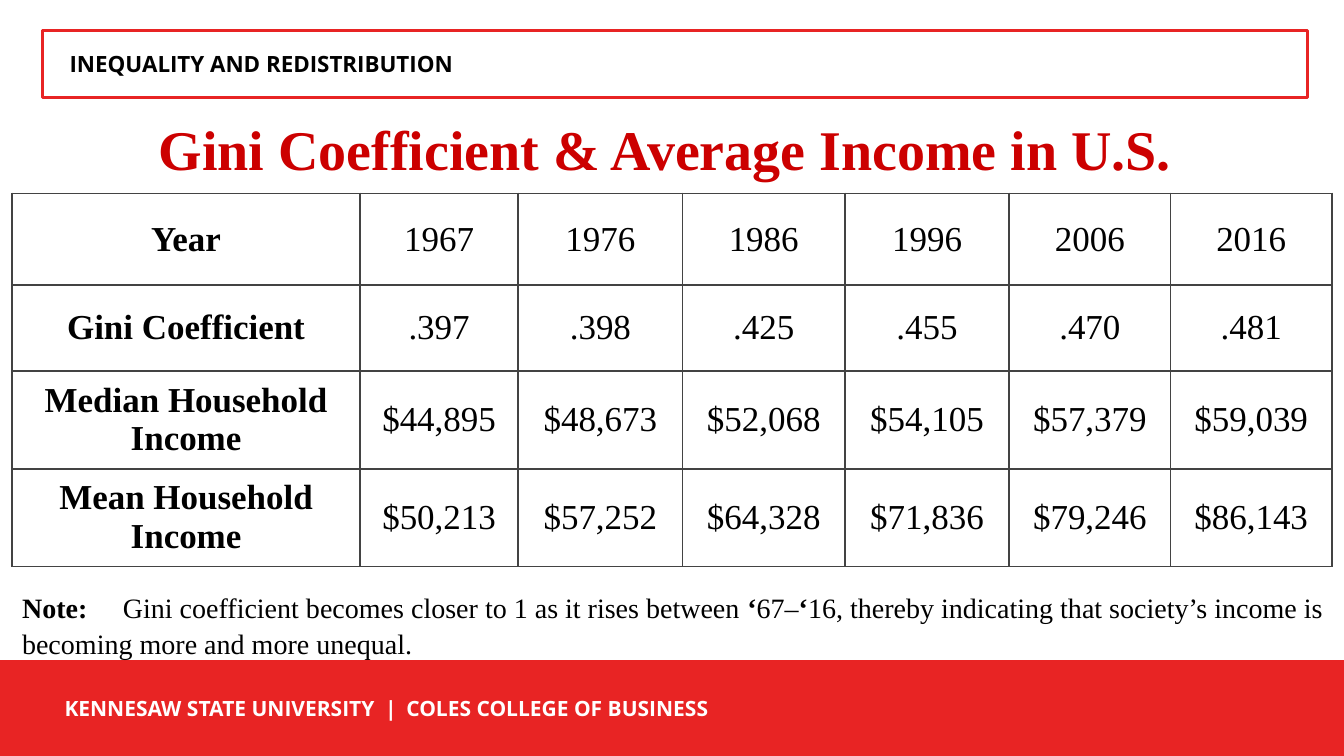
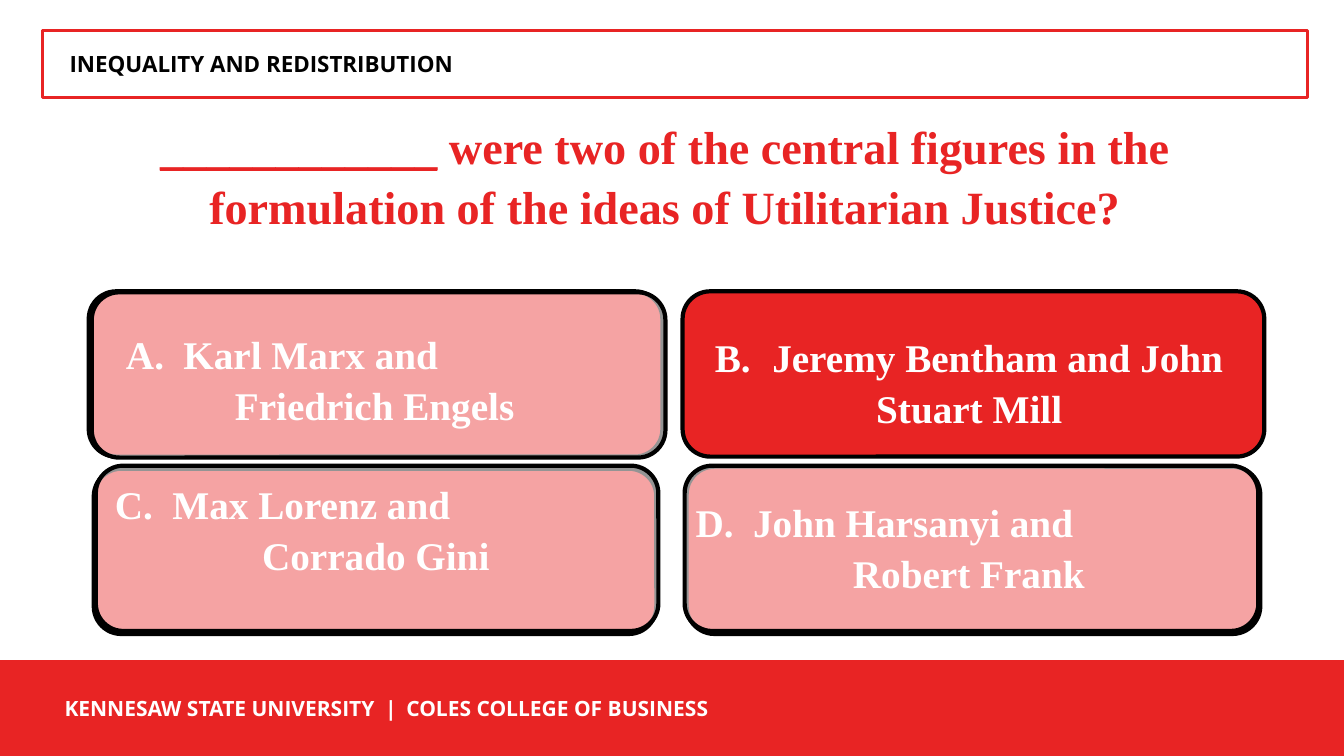
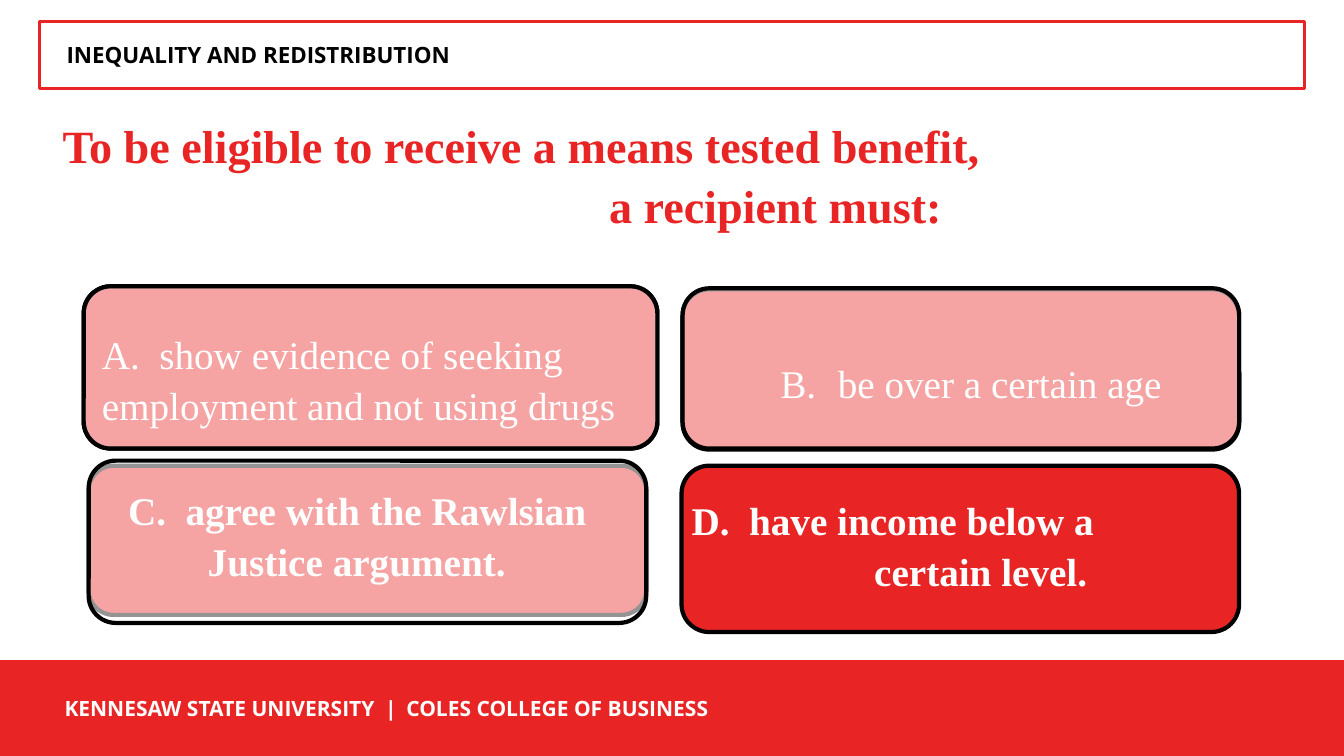
"""Build three slides on inequality and redistribution."""
from dataclasses import dataclass

from lxml.etree import SubElement
from pptx import Presentation
from pptx.dml.color import RGBColor
from pptx.enum.shapes import MSO_SHAPE as Shape
from pptx.enum.text import MSO_ANCHOR as Anchor, MSO_AUTO_SIZE as AutoSize, PP_ALIGN as Align
from pptx.oxml.ns import qn
from pptx.util import Inches, Pt


@dataclass(frozen=True)
class Theme:
    red: str = "E82424"
    title_red: str = "CC0000"
    black: str = "000000"
    white: str = "FFFFFF"
    grid: str = "434343"
    serif: str = "Times New Roman"
    sans: str = "Open Sans"
    title_size: int = 40
    question_size: int = 33
    answer_size: int = 28
    table_size: int = 25
    note_size: int = 20
    header_size: int = 16
    footer_size: int = 15
    spacing: float = 1.08
    veil_opacity: int = 58
    hang: float = 0.57


THEME = Theme()

HEADER = "INEQUALITY AND REDISTRIBUTION"
FOOTER = "KENNESAW STATE UNIVERSITY\t|\tCOLES COLLEGE OF BUSINESS"

INCOME_TITLE = "Gini Coefficient & Average Income in U.S."
INCOME_ROWS = [
    ("Year", "1967", "1976", "1986", "1996", "2006", "2016"),
    ("Gini Coefficient", ".397", ".398", ".425", ".455", ".470", ".481"),
    ("Median Household Income", "$44,895", "$48,673", "$52,068", "$54,105", "$57,379", "$59,039"),
    ("Mean Household Income", "$50,213", "$57,252", "$64,328", "$71,836", "$79,246", "$86,143"),
]
COLUMN_WIDTHS = [3.45, 1.57, 1.63, 1.61, 1.63, 1.6, 1.6]
ROW_HEIGHTS = [0.91, 0.85, 0.97, 0.97]
NOTE = [
    ("Note:", {"bold": True}),
    ("\tGini coefficient becomes closer to 1 as it rises between ", {}),
    ("‘", {"bold": True}),
    ("67–", {}),
    ("‘", {"bold": True}),
    ("16, thereby indicating that society’s income is becoming more and more unequal.", {}),
]

QUESTIONS = [
    {
        "header_at": (0.42, 0.3),
        "title_at": (0.42, 1.08, 12.35, 1.2),
        "title": [[("____________", {"underline": True}),
                   (" were two of the central figures in the formulation"
                    " of the ideas of Utilitarian Justice?", {})]],
        "title_format": {"align": Align.CENTER},
        "answers": [
            {"card": (0.88, 2.89, 5.69, 1.64), "veil": (0.91, 2.9, 5.69, 1.64),
             "text": (0.88, 3.28, 5.69, 0.93), "bold": True, "indents": (0.24, 1.32),
             "lines": ["A.\tKarl Marx and", "Friedrich Engels"]},
            {"card": (0.93, 4.65, 5.58, 1.64), "veil": (0.95, 4.62, 5.58, 1.64),
             "text": (0.88, 4.77, 5.69, 0.93), "bold": True, "indents": (0.13, 1.59),
             "lines": ["C.\tMax Lorenz and", "Corrado Gini"]},
            {"card": (6.81, 4.63, 5.69, 1.66), "veil": (6.79, 4.62, 5.69, 1.64),
             "text": (6.77, 4.95, 5.69, 0.93), "bold": True, "indents": (0, 1.56),
             "lines": ["D.\tJohn Harsanyi and", "Robert Frank"]},
            {"card": (6.77, 2.89, 5.77, 1.64), "veil": None,
             "text": (6.77, 3.31, 5.69, 0.93), "bold": True, "indents": (0.19, 1.79),
             "lines": ["B.\tJeremy Bentham and John", "Stuart Mill"]},
        ],
    },
    {
        "header_at": (0.39, 0.21),
        "title_at": (0.49, 1.07, 12.35, 1.2),
        "title": ["To be eligible to receive a means tested benefit,", "a recipient must:"],
        "title_format": {"indents": (0.03, 5.45)},
        "answers": [
            {"card": (0.83, 2.84, 5.69, 1.61), "veil": (0.83, 2.84, 5.69, 1.61),
             "text": (0.88, 3.28, 5.69, 0.93), "bold": False, "indents": (0, 0),
             "lines": ["A.\tshow evidence of seeking", "employment and not using drugs"]},
            {"card": (0.88, 4.62, 5.53, 1.48), "veil": (0.88, 4.57, 5.53, 1.61),
             "text": (0.84, 4.82, 5.41, 0.95), "bold": True, "indents": (0.3, 1.09),
             "lines": ["C.\tagree with the Rawlsian", "Justice argument."]},
            {"card": (6.76, 4.62, 5.53, 1.65), "veil": None,
             "text": (6.69, 4.93, 5.69, 0.93), "bold": True, "indents": (0.04, 1.85),
             "lines": ["D.\thave income below a", "certain level."]},
            {"card": (6.77, 2.87, 5.52, 1.59), "veil": (6.77, 2.86, 5.52, 1.59),
             "text": (7.26, 3.31, 4.69, 0.93), "bold": False, "indents": (0.35,),
             "lines": ["B.\tbe over a certain age"]},
        ],
    },
]


def inches(values):
    return [Inches(value) for value in values]


def write(frame, paragraphs, size, color, font=THEME.serif, bold=False, align=Align.LEFT,
          anchor=Anchor.MIDDLE, insets=(0.1, 0.05, 0.1, 0.05), spacing=1.0,
          indents=(), hang=0, tabs=()):
    """Fill a text frame with paragraphs given as strings or lists of spans."""
    frame.word_wrap = True
    frame.auto_size = AutoSize.NONE
    frame.vertical_anchor = anchor
    (frame.margin_left, frame.margin_top,
     frame.margin_right, frame.margin_bottom) = inches(insets)
    for index, content in enumerate(paragraphs):
        para = frame.paragraphs[0] if index == 0 else frame.add_paragraph()
        para.alignment = align
        para.line_spacing = spacing
        spans = [(content, {})] if isinstance(content, str) else content
        properties = para._p.get_or_add_pPr()
        if indents:
            hanging = hang if "\t" in spans[0][0] else 0
            properties.set("marL", str(Inches(indents[index] + hanging)))
            properties.set("indent", str(Inches(-hanging)))
        if tabs:
            stops = SubElement(properties, qn("a:tabLst"))
            for stop in tabs:
                SubElement(stops, qn("a:tab"), pos=str(Inches(stop)), algn="l")
        for text, changes in spans:
            span = para.add_run()
            span.text = text
            span.font.name = font
            span.font.size = Pt(size)
            span.font.color.rgb = RGBColor.from_string(color)
            span.font.bold = changes.get("bold", bold)
            span.font.underline = changes.get("underline", False)


def add_panel(page, kind, at, line, width, fill=None, opacity=None):
    panel = page.shapes.add_shape(kind, *inches(at))
    panel.shadow.inherit = False
    panel.line.color.rgb = RGBColor.from_string(line)
    panel.line.width = Pt(width)
    if fill is None:
        panel.fill.background()
    else:
        panel.fill.solid()
        panel.fill.fore_color.rgb = RGBColor.from_string(fill)
    if opacity is not None:
        color = panel.fill._xPr.find(qn("a:solidFill"))[0]
        SubElement(color, qn("a:alpha"), val=str(opacity * 1000))
    return panel


def add_page(deck, header_at, title_at, title, **title_format):
    page = deck.slides.add_slide(deck.slide_layouts[5])
    heading = page.shapes.title
    heading.left, heading.top, heading.width, heading.height = inches(title_at)
    write(heading.text_frame, title, bold=True, spacing=THEME.spacing, **title_format)
    header = add_panel(page, Shape.RECTANGLE, (*header_at, 12.55, 0.67), THEME.red, 2.25)
    write(header.text_frame, [HEADER], THEME.header_size, THEME.black, font=THEME.sans,
          bold=True, insets=(0.27, 0.05, 0.1, 0.05))
    footer = add_panel(page, Shape.RECTANGLE, (0, 6.55, 13.33, 0.95), THEME.red, 1, THEME.red)
    write(footer.text_frame, [FOOTER], THEME.footer_size, THEME.white, font=THEME.sans,
          bold=True, insets=(0.64, 0.05, 0.1, 0.05), tabs=(3.18, 3.39))
    return page


def add_borders(cell):
    properties = cell._tc.get_or_add_tcPr()
    for index, side in enumerate(("a:lnL", "a:lnR", "a:lnT", "a:lnB")):
        border = properties.makeelement(qn(side), {"w": str(Pt(1.5))})
        fill = SubElement(border, qn("a:solidFill"))
        SubElement(fill, qn("a:srgbClr"), val=THEME.grid)
        properties.insert(index, border)


def add_income_table(page):
    at = (0.12, 1.92, sum(COLUMN_WIDTHS), sum(ROW_HEIGHTS))
    table = page.shapes.add_table(len(INCOME_ROWS), len(COLUMN_WIDTHS), *inches(at)).table
    table.first_row = table.horz_banding = False
    for column, width in zip(table.columns, COLUMN_WIDTHS):
        column.width = Inches(width)
    for row, height, values in zip(table.rows, ROW_HEIGHTS, INCOME_ROWS):
        row.height = Inches(height)
        for index, (cell, value) in enumerate(zip(row.cells, values)):
            cell.fill.background()
            add_borders(cell)
            write(cell.text_frame, [value], THEME.table_size, THEME.black,
                  bold=index == 0, align=Align.CENTER)
            cell.vertical_anchor = Anchor.MIDDLE
            (cell.margin_left, cell.margin_top,
             cell.margin_right, cell.margin_bottom) = inches([0.1] * 4)


def add_income_page(deck):
    page = add_page(deck, (0.42, 0.3), (0.32, 0.97, 12.55, 0.95), [INCOME_TITLE],
                    size=THEME.title_size, color=THEME.title_red, align=Align.CENTER)
    add_income_table(page)
    note = page.shapes.add_textbox(*inches((0.12, 5.78, 13.21, 0.77)))
    write(note.text_frame, [NOTE], THEME.note_size, THEME.black, anchor=Anchor.TOP,
          spacing=THEME.spacing, tabs=(1.0,))


def add_question_page(deck, question):
    page = add_page(deck, question["header_at"], question["title_at"], question["title"],
                    size=THEME.question_size, color=THEME.red, anchor=Anchor.TOP,
                    **question["title_format"])
    answers = question["answers"]
    for answer in answers:
        add_panel(page, Shape.ROUNDED_RECTANGLE, answer["card"], THEME.black, 3, THEME.red)
    for answer in answers:
        box = page.shapes.add_textbox(*inches(answer["text"]))
        write(box.text_frame, answer["lines"], THEME.answer_size, THEME.white,
              bold=answer["bold"], insets=[0.13] * 4, spacing=THEME.spacing,
              indents=answer["indents"], hang=THEME.hang)
    for answer in answers:
        if answer["veil"]:
            add_panel(page, Shape.ROUNDED_RECTANGLE, answer["veil"], THEME.black, 3,
                      THEME.white, THEME.veil_opacity)


def main():
    deck = Presentation()
    deck.slide_width, deck.slide_height = inches((13.33, 7.5))
    add_income_page(deck)
    for question in QUESTIONS:
        add_question_page(deck, question)
    deck.save("out.pptx")


if __name__ == "__main__":
    main()
